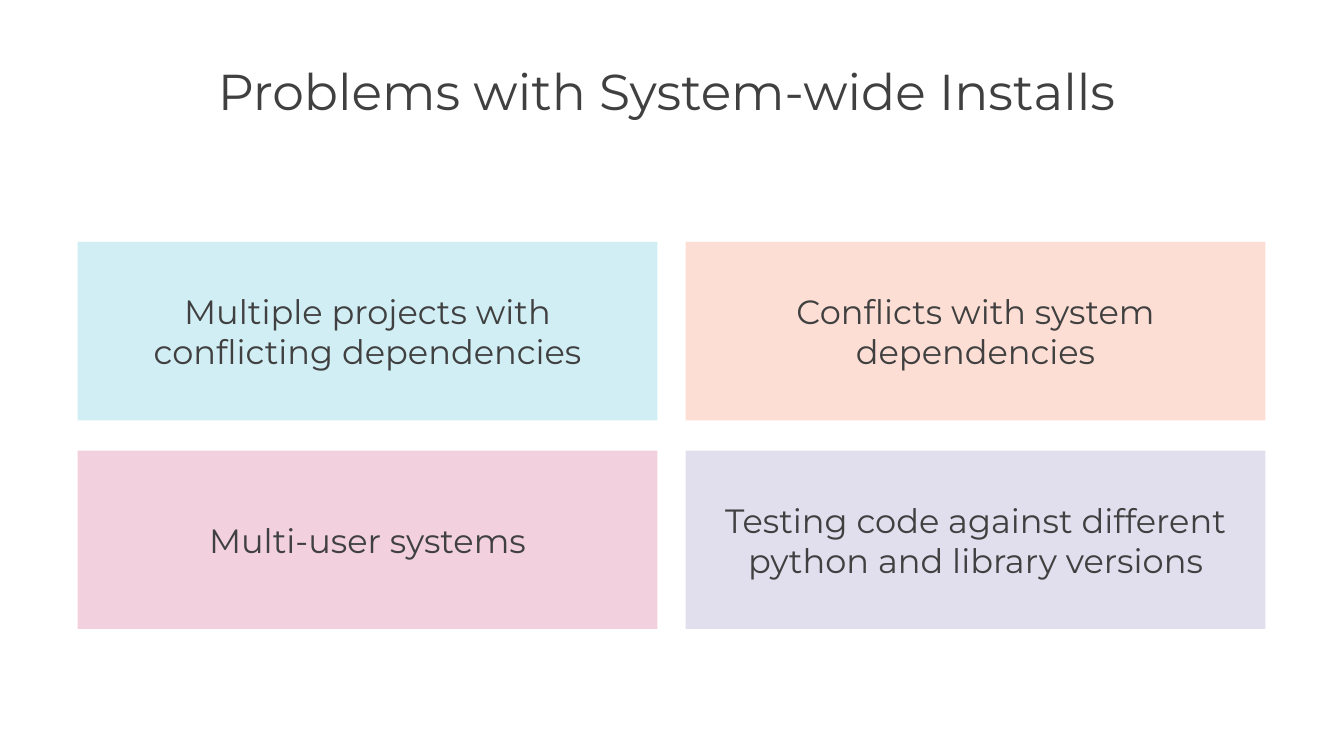
import pptx
import pptx.dml.color
import pptx.enum.text
import pptx.oxml
import pptx.util

COLORS = {
    "text": "404040",
    "background": "FFFFFF",
    "cyan": "D1EEF5",
    "peach": "FCDED4",
    "pink": "F2D0DD",
    "lavender": "E1DEED",
}


class ProblemSlide:
    """Holds the style, the card grid and the current slide."""

    font = "Montserrat"
    left, top = 0.77, 2.4
    card_w, card_h = 5.75, 1.77
    gap_x, gap_y = 0.28, 0.3

    def __init__(self, prs, layout):
        self.slide = prs.slides.add_slide(prs.slide_layouts[layout])
        self.paint(self.slide.background.fill, "background")

    def paint(self, fill, color):
        fill.solid()
        fill.fore_color.rgb = pptx.dml.color.RGBColor.from_string(COLORS[color])

    def place(self, sp, *box):
        sp.left, sp.top, sp.width, sp.height = map(pptx.util.Inches, box)

    def add_text(self, sp, text, size, insets, anchor):
        """Puts one centred paragraph in a placeholder and returns it."""
        tf = sp.text_frame
        tf.word_wrap = True
        tf.auto_size = pptx.enum.text.MSO_AUTO_SIZE.NONE
        tf.vertical_anchor = anchor
        tf.margin_left, tf.margin_top, tf.margin_right, tf.margin_bottom = map(
            pptx.util.Inches, insets)
        p = tf.paragraphs[0]
        p.alignment = pptx.enum.text.PP_ALIGN.CENTER
        r = p.add_run()
        r.text = text
        r.font.name, r.font.size, r.font.bold = self.font, pptx.util.Pt(size), False
        self.paint(r.font.fill, "text")
        return p

    def title(self, text):
        sp = self.slide.shapes.title
        self.place(sp, self.left, 0.64, 2 * self.card_w + self.gap_x, 0.48)
        p = self.add_text(sp, text, 36, (0, 0.05, 0.1, 0.05),
                          pptx.enum.text.MSO_ANCHOR.TOP)
        p.line_spacing = 0.85

    def card(self, sp, col, row, text, color):
        self.place(sp, self.left + col * (self.card_w + self.gap_x),
                   self.top + row * (self.card_h + self.gap_y),
                   self.card_w, self.card_h)
        self.paint(sp.fill, color)
        p = self.add_text(sp, text, 24, (0.3,) * 4,
                          pptx.enum.text.MSO_ANCHOR.MIDDLE)
        p.space_before = pptx.util.Pt(18)
        # No bullet, no hanging indent
        pPr = p._p.get_or_add_pPr()
        pPr.set("marL", "0")
        pPr.set("indent", "0")
        pPr.append(pptx.oxml.parse_xml(
            '<a:buNone xmlns:a='
            '"http://schemas.openxmlformats.org/drawingml/2006/main"/>'))


prs = pptx.Presentation()
prs.slide_width, prs.slide_height = pptx.util.Inches(13.33), pptx.util.Inches(7.5)

# The Comparison layout has a title and four body placeholders
page = ProblemSlide(prs, 4)
page.title("Problems with System-wide Installs")

# Cards, row by row
cards = [
    ("Multiple projects with conflicting dependencies", "cyan"),
    ("Conflicts with system dependencies", "peach"),
    ("Multi-user systems", "pink"),
    ("Testing code against different python and library versions", "lavender"),
]
bodies = list(page.slide.placeholders)[1:]
for i, (sp, (text, color)) in enumerate(zip(bodies, cards)):
    row, col = divmod(i, 2)
    page.card(sp, col, row, text, color)

prs.save("out.pptx")
